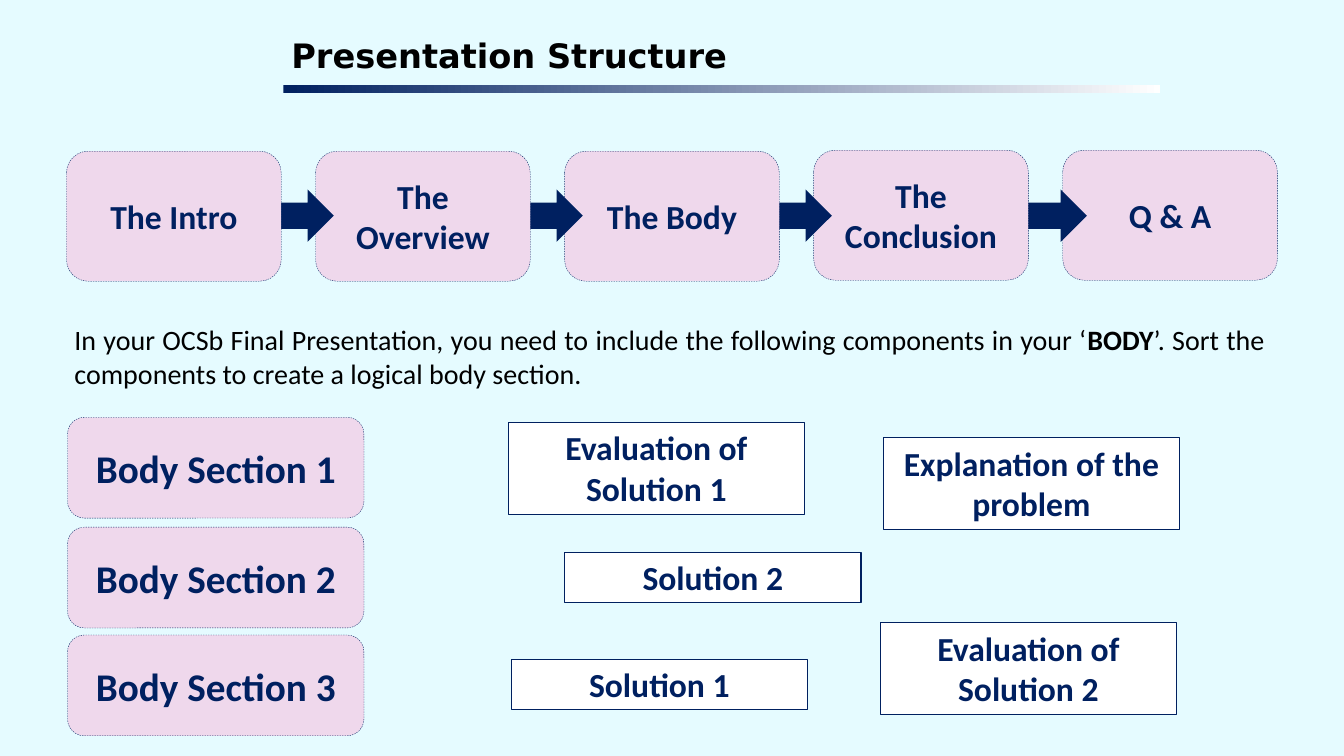
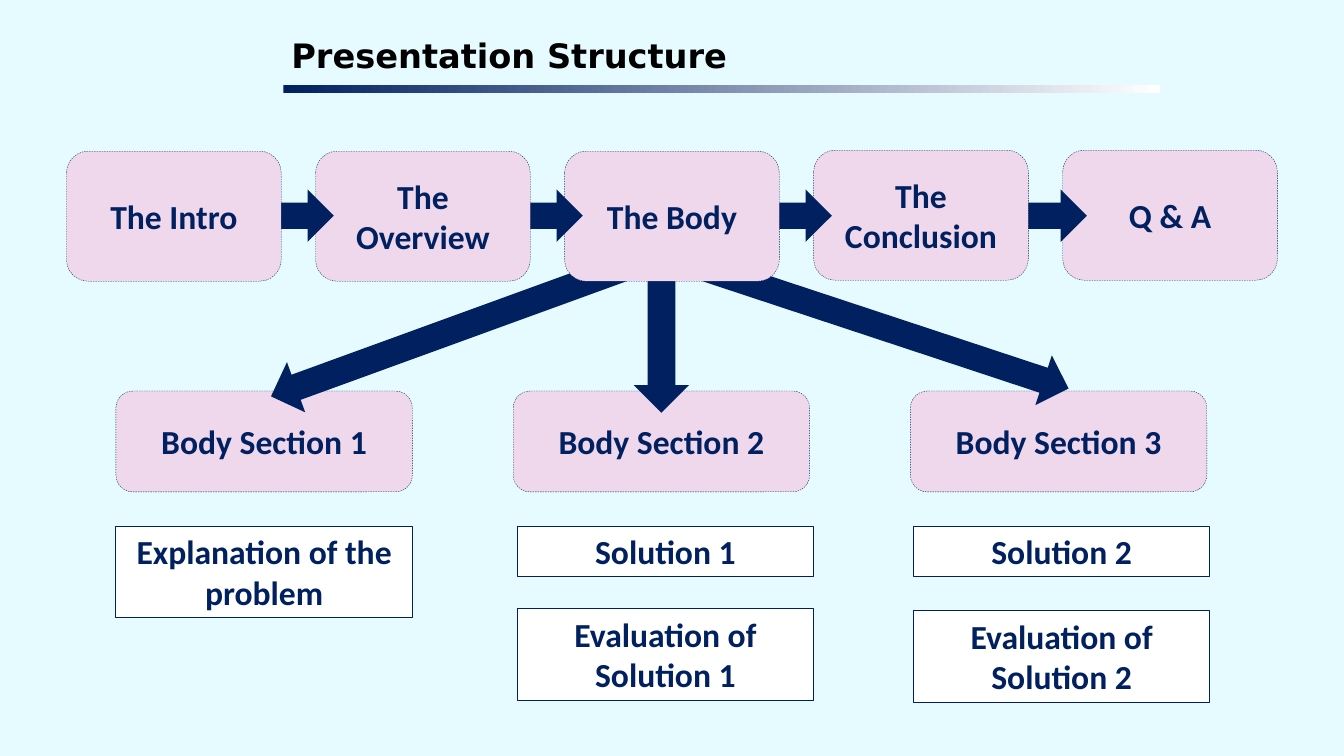
from pptx import Presentation
from pptx import util as u
from pptx.dml.color import RGBColor
from pptx.enum import dml, shapes, text

PX = u.Inches(1) // 100

ICE = RGBColor(0xE5, 0xFB, 0xFF)
NAVY = RGBColor(0x00, 0x20, 0x60)
PINK = RGBColor(0xEF, 0xD8, 0xEC)
WHITE = RGBColor(0xFF, 0xFF, 0xFF)
BLACK = RGBColor(0x00, 0x00, 0x00)

BODY_FONT = "Calibri"
TITLE_FONT = "DejaVu Sans"
LABEL = {"name": BODY_FONT, "size": u.Pt(24), "bold": True}
BIG_LABEL = {**LABEL, "size": u.Pt(28)}
PROSE = {"name": BODY_FONT, "size": u.Pt(20), "bold": False}
TITLE = {"name": TITLE_FONT, "size": u.Pt(24), "bold": True}

MIDDLE = {"word_wrap": True, "vertical_anchor": text.MSO_ANCHOR.MIDDLE}
TOP = {"word_wrap": True, "vertical_anchor": text.MSO_ANCHOR.TOP}
GROW = {**TOP, "auto_size": text.MSO_AUTO_SIZE.SHAPE_TO_FIT_TEXT}
TIGHT = {**TOP, **{f"margin_{side}": 4 * PX
                   for side in ("left", "top", "right", "bottom")}}

SECTION_W, SECTION_H = 294, 100
CARD_H = {1: 50, 2: 91}
STEP_LEFT, STEP_PITCH = 66, 247
STEPS = [
    ("The Intro", 150, None),
    ("The Overview", 150, 259),
    ("The Body", 150, 506),
    ("The Conclusion", 149, 753),
    ("Q & A", 149, 1006),
]
SECTIONS = ["Body Section 1", "Body Section 2", "Body Section 3"]
SECTION_TOPS = [414, 523, 630]
BRANCHES = [
    ((257, 300, 390, 53), 160),
    ((574, 300, 164, 55), 90),
    ((666, 296, 404, 52), 18.3),
]
LOOSE_CARDS = [
    ("Explanation of the problem", 876, 434, 2),
    ("Solution 1", 507, 654, 1),
    ("Evaluation of Solution 1", 504, 419, 2),
    ("Solution 2", 560, 548, 1),
    ("Evaluation of Solution 2", 873, 618, 2),
]
SORTED_CARDS = [
    ("Explanation of the problem", 115, 522, 2),
    ("Solution 1", 513, 522, 1),
    ("Evaluation of Solution 1", 513, 604, 2),
    ("Solution 2", 906, 522, 1),
    ("Evaluation of Solution 2", 906, 606, 2),
]


def apply(obj, fmt):
    for name, value in fmt.items():
        setattr(obj, name, value)


def emu(box):
    return [v * PX for v in box]


def write(sp, runs, frame, align, color):
    tf = sp.text_frame
    apply(tf, frame)
    p = tf.paragraphs[0]
    p.alignment = align
    for words, font in runs:
        r = p.add_run()
        r.text = words
        apply(r.font, font)
        r.font.color.rgb = color


def add_shape(parent, kind, box, fill=None, line=None):
    sp = parent.shapes.add_shape(kind, *emu(box))
    sp.shadow.inherit = False
    if fill is not None:
        sp.fill.solid()
        sp.fill.fore_color.rgb = fill
    if line:
        sp.line.color.rgb = NAVY
        apply(sp.line, line)
    else:
        sp.line.fill.background()
    return sp


def add_text(parent, box, runs, frame, align, color=BLACK):
    sp = parent.shapes.add_textbox(*emu(box))
    write(sp, runs, frame, align, color)


def add_panel(s, label, box, font=LABEL):
    line = {"width": u.Pt(0.25), "dash_style": dml.MSO_LINE.DASH}
    sp = add_shape(s, shapes.MSO_SHAPE.ROUNDED_RECTANGLE, box, PINK, line)
    write(sp, [(label, font)], MIDDLE, text.PP_ALIGN.CENTER, NAVY)


def add_card(s, label, left, top, lines):
    box = (left, top, SECTION_W, CARD_H[lines])
    sp = add_shape(s, shapes.MSO_SHAPE.RECTANGLE, box, WHITE, {"width": u.Pt(0.75)})
    write(sp, [(label, LABEL)], GROW, text.PP_ALIGN.CENTER, NAVY)


def add_arrow(s, box, rotation=0):
    sp = add_shape(s, shapes.MSO_SHAPE.RIGHT_ARROW, box, NAVY)
    sp.rotation = rotation


def add_title(s, title):
    grp = s.shapes.add_group_shape()
    add_text(grp, (285, 31, 866, 53), [(title, TITLE)], TIGHT, text.PP_ALIGN.LEFT)
    bar = add_shape(grp, shapes.MSO_SHAPE.RECTANGLE, (281, 84, 870, 8))
    bar.fill.gradient()
    bar.fill.gradient_angle = 0
    for stop, position, color in zip(bar.fill.gradient_stops, (0, 1), (NAVY, WHITE)):
        stop.position = position
        stop.color.rgb = color


def add_flow(s):
    for i, (label, top, arrow_left) in reversed(list(enumerate(STEPS))):
        add_panel(s, label, (STEP_LEFT + i * STEP_PITCH, top, 213, 129))
        if arrow_left is not None:
            add_arrow(s, (arrow_left, 188, 72, 52))


def add_slide(prs):
    s = prs.slides.add_slide(prs.slide_layouts[6])
    add_title(s, "Presentation Structure")
    return s


def build_task(prs):
    s = add_slide(prs)
    add_flow(s)
    add_text(s, (64, 315, 1200, 77), [
        ("In your OCSb Final Presentation, you need to include the following "
         "components in your ‘", PROSE),
        ("BODY", {**PROSE, "bold": True}),
        ("’. Sort the components to create a logical body section.", PROSE),
    ], GROW, text.PP_ALIGN.JUSTIFY)
    for label, top in zip(SECTIONS, SECTION_TOPS):
        add_panel(s, label, (67, top, SECTION_W, SECTION_H), BIG_LABEL)
    for card in LOOSE_CARDS:
        add_card(s, *card)


def build_answer(prs):
    s = add_slide(prs)
    for i, label in enumerate(SECTIONS):
        add_panel(s, label, (115 + i * 394, 388, SECTION_W, SECTION_H))
    for box, rotation in BRANCHES:
        add_arrow(s, box, rotation)
    add_flow(s)
    for card in SORTED_CARDS:
        add_card(s, *card)


def main():
    prs = Presentation()
    apply(prs, {"slide_width": 1333 * PX, "slide_height": 750 * PX})
    fill = prs.slide_master.background.fill
    fill.solid()
    fill.fore_color.rgb = ICE
    build_task(prs)
    build_answer(prs)
    prs.save("out.pptx")


if __name__ == "__main__":
    main()
